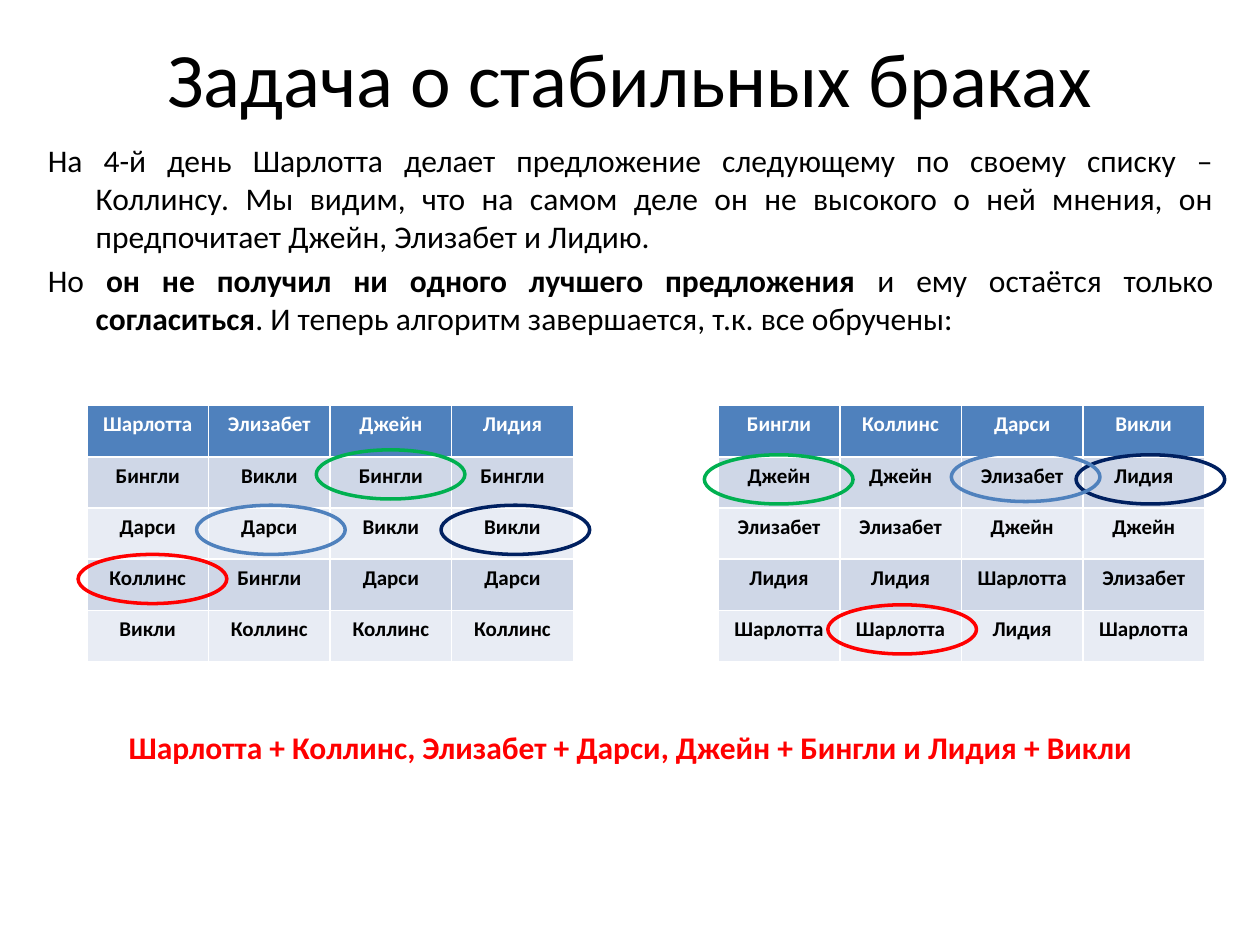
from lxml import etree
from pptx import Presentation
from pptx.dml.color import RGBColor
from pptx.enum.shapes import MSO_SHAPE
from pptx.enum.text import MSO_ANCHOR, MSO_AUTO_SIZE, PP_ALIGN
from pptx.oxml.ns import qn
from pptx.util import Inches, Pt

OVAL = MSO_SHAPE.OVAL
MIDDLE = MSO_ANCHOR.MIDDLE
NO_FIT = MSO_AUTO_SIZE.NONE
CENTER, JUSTIFY = PP_ALIGN.CENTER, PP_ALIGN.JUSTIFY

FONT = "Calibri"
BLACK = RGBColor(0x00, 0x00, 0x00)
WHITE = RGBColor(0xFF, 0xFF, 0xFF)
BLUE = RGBColor(0x4F, 0x81, 0xBD)
DARK = RGBColor(0xCF, 0xD7, 0xE7)
LIGHT = RGBColor(0xE8, 0xEC, 0xF4)
NAVY = RGBColor(0x00, 0x20, 0x60)
GREEN = RGBColor(0x00, 0xB0, 0x50)
RED = RGBColor(0xFF, 0x00, 0x00)

TITLE = "Задача о стабильных браках"
TITLE_BOX = (0.5, 0.3, 9, 0.61)
BODY_BOX = (0.28, 1.07, 9.45, 6.3)
WOMEN_BOX = (0.69, 3.22, 3.86, 2.03)
MEN_BOX = (5.7, 3.22, 3.86, 2.03)
RING_SIZE = (1.18, 0.39)

BODY = [
    (JUSTIFY, 0, BLACK, [
        ("На 4-й день Шарлотта делает предложение следующему по своему списку – "
         "Коллинсу. Мы видим, что на самом деле он не высокого о ней мнения, "
         "он предпочитает Джейн, Элизабет и Лидию.", False)]),
    (JUSTIFY, 3.6, BLACK, [
        ("Но ", False),
        ("он не получил ни одного лучшего предложения ", True),
        ("и ему остаётся только ", False),
        ("согласиться", True),
        (". И теперь алгоритм завершается, т.к. все обручены:", False)]),
    (CENTER, 224, RED, [
        ("Шарлотта + Коллинс, Элизабет + Дарси, Джейн + Бингли и Лидия + Викли",
         True)]),
]

WOMEN = [
    ("Шарлотта", "Элизабет", "Джейн", "Лидия"),
    ("Бингли", "Викли", "Бингли", "Бингли"),
    ("Дарси", "Дарси", "Викли", "Викли"),
    ("Коллинс", "Бингли", "Дарси", "Дарси"),
    ("Викли", "Коллинс", "Коллинс", "Коллинс"),
]
MEN = [
    ("Бингли", "Коллинс", "Дарси", "Викли"),
    ("Джейн", "Джейн", "Элизабет", "Лидия"),
    ("Элизабет", "Элизабет", "Джейн", "Джейн"),
    ("Лидия", "Лидия", "Шарлотта", "Элизабет"),
    ("Шарлотта", "Шарлотта", "Лидия", "Шарлотта"),
]
WOMEN_RINGS = [(2.81, 0.79, NAVY), (1.82, 0.35, GREEN),
               (0.87, 0.79, BLUE), (-0.07, 1.18, RED)]
MEN_RINGS = [(-0.11, 0.39, GREEN), (2.84, 0.39, NAVY),
             (1.85, 0.37, BLUE), (0.87, 1.58, RED)]


def place(shape, box):
    """Move a shape to a box given in inches."""
    shape.left, shape.top, shape.width, shape.height = map(Inches, box)


def style(font, size, color, bold=False):
    """Set the look of a font."""
    font.name, font.size, font.bold = FONT, Pt(size), bold
    font.color.rgb = color


def add_title(slide, box):
    """Fill the title placeholder."""
    title = slide.shapes.title
    place(title, box)
    frame = title.text_frame
    frame.text = TITLE
    frame.auto_size = NO_FIT
    frame.vertical_anchor = MIDDLE
    para = frame.paragraphs[0]
    para.alignment = CENTER
    style(para.runs[0].font, 44, BLACK)


def add_body(slide, box):
    """Fill the body placeholder with hanging paragraphs without bullets."""
    body = slide.placeholders[1]
    place(body, box)
    frame = body.text_frame
    frame.auto_size = NO_FIT
    frame.text = "\n".join("".join(text for text, _ in runs)
                           for _, _, _, runs in BODY)
    for para, (align, gap, color, runs) in zip(frame.paragraphs, BODY):
        para.text = ""
        para.alignment = align
        para.space_before = Pt(gap)
        props = para._p.get_or_add_pPr()
        props.set("marL", str(Inches(0.38)))
        props.set("indent", str(Inches(-0.38)))
        etree.SubElement(props, qn("a:buNone"))
        for text, bold in runs:
            run = para.add_run()
            run.text = text
            style(run.font, 18, color, bold)


def add_grid(slide, box, rows):
    """Add a table of preferences with a header row and banded rows."""
    left, top, width, height = map(Inches, box)
    grid = slide.shapes.add_table(len(rows), len(rows[0]),
                                  left, top, width, height).table
    for r, names in enumerate(rows):
        fill = BLUE if r == 0 else DARK if r % 2 else LIGHT
        for c, name in enumerate(names):
            cell = grid.cell(r, c)
            cell.fill.solid()
            cell.fill.fore_color.rgb = fill
            cell.text_frame.text = name
            para = cell.text_frame.paragraphs[0]
            para.alignment = CENTER
            style(para.runs[0].font, 12, BLACK if r else WHITE, True)


def add_rings(slide, box, rings):
    """Circle the matched names of the table in a box."""
    for dx, dy, color in rings:
        ring = slide.shapes.add_shape(OVAL, Inches(box[0] + dx),
                                      Inches(box[1] + dy),
                                      *map(Inches, RING_SIZE))
        ring.shadow.inherit = False
        ring.fill.background()
        ring.line.color.rgb = color
        ring.line.width = Pt(2)


def main():
    """Build and save the slide."""
    deck = Presentation()
    deck.slide_width, deck.slide_height = Inches(10), Inches(7.5)
    slide = deck.slides.add_slide(deck.slide_layouts[1])
    add_title(slide, TITLE_BOX)
    add_body(slide, BODY_BOX)
    add_grid(slide, WOMEN_BOX, WOMEN)
    add_grid(slide, MEN_BOX, MEN)
    add_rings(slide, WOMEN_BOX, WOMEN_RINGS)
    add_rings(slide, MEN_BOX, MEN_RINGS)
    deck.save("out.pptx")


if __name__ == "__main__":
    main()
